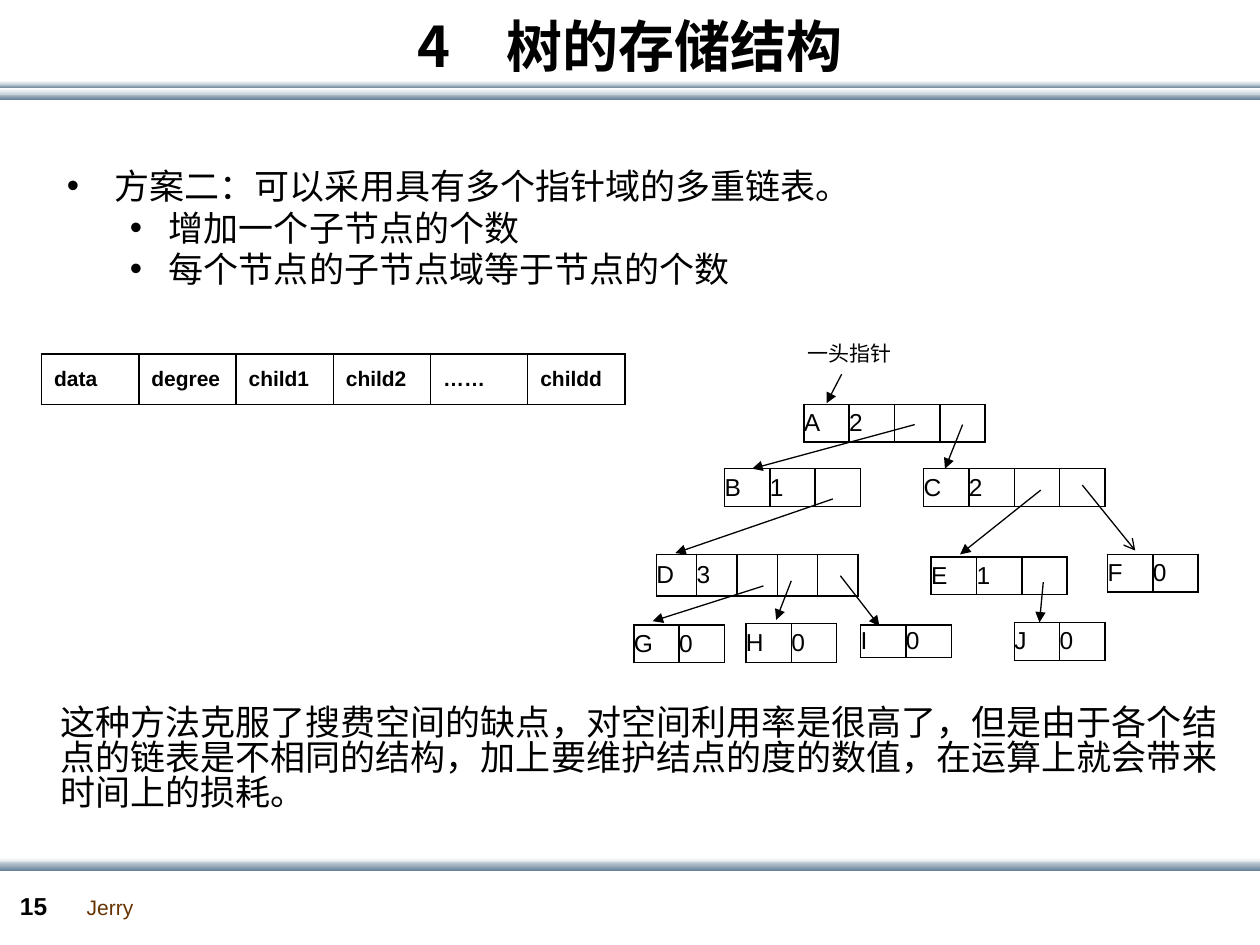
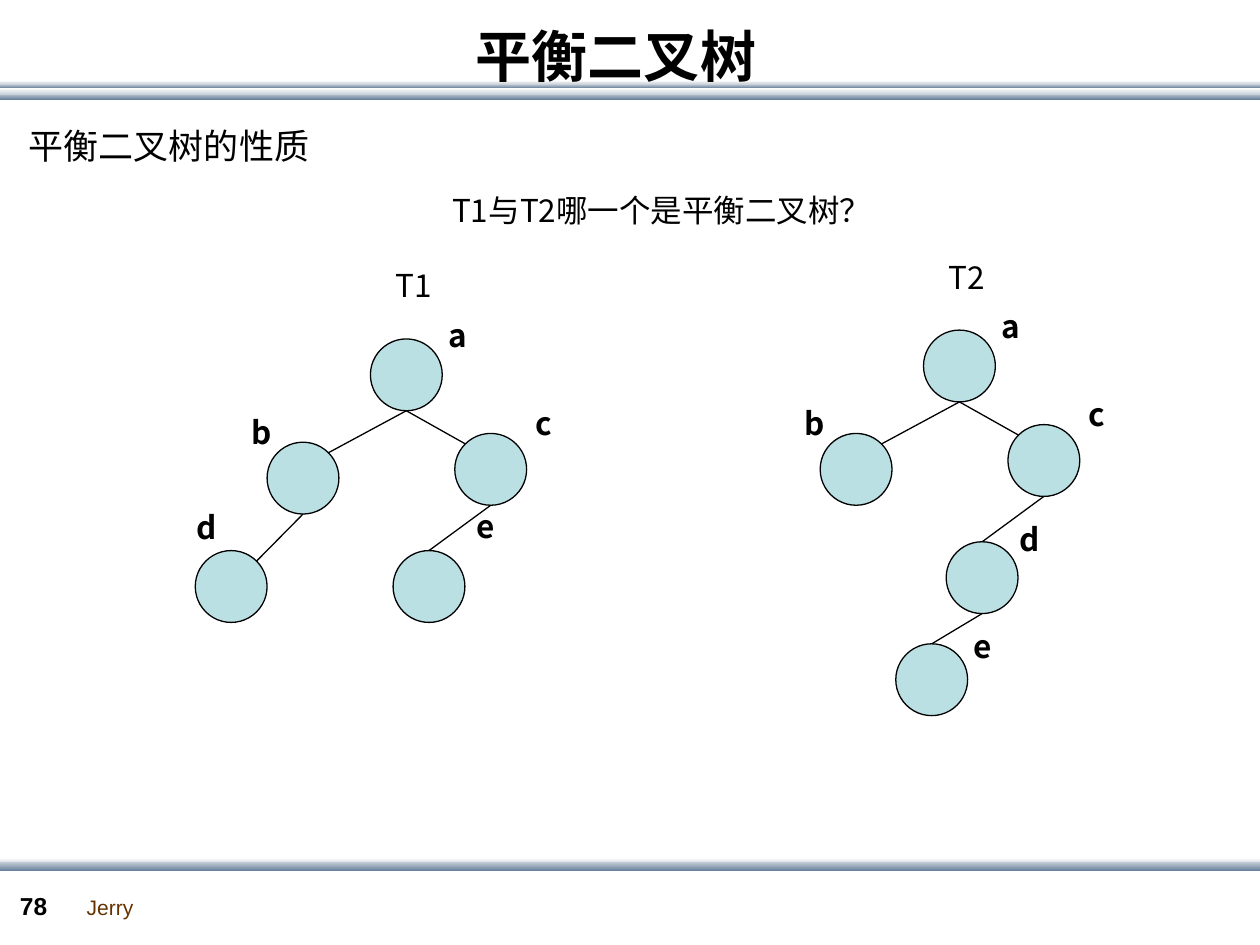
import dataclasses
import math
from typing import Any

import lxml.etree
import pptx
import pptx.dml.color
import pptx.enum.shapes
import pptx.enum.text
import pptx.oxml.ns
import pptx.util

Inches = pptx.util.Inches
Pt = pptx.util.Pt
qn = pptx.oxml.ns.qn

LATIN = "Arial"
CJK = "Noto Sans CJK SC"
BLACK, WHITE, MIST, STEEL = "000000", "FFFFFF", "C8D1DA", "6A839C"
BROWN, NODE_FILL = "663300", "BBE0E3"
DIAMETER = 0.57

TITLE = {"name": CJK, "size": Pt(32), "bold": True}
BODY = {"name": CJK, "size": Pt(20), "bold": False}
CAPTION = {"name": CJK, "size": Pt(18), "bold": False}
NODE_LABEL = {"name": CJK, "size": Pt(18), "bold": True}
SMALL = {"name": LATIN, "size": Pt(12), "bold": False}
FIELD = {"name": LATIN, "size": Pt(12), "bold": True}
RECORD = {"name": LATIN, "size": Pt(14), "bold": False}
PAGE_NUMBER = {"name": LATIN, "size": Pt(14), "bold": True}


@dataclasses.dataclass(frozen=True)
class Box:
    left: float
    top: float
    width: float
    height: float

    def lengths(self) -> list[int]:
        return [Inches(value) for value in dataclasses.astuple(self)]


@dataclasses.dataclass(frozen=True)
class Band:
    top: float
    height: float
    start: str
    end: str


@dataclasses.dataclass(frozen=True)
class Record:
    """A linked-list node: its name, its degree and one cell per child."""
    name: str
    degree: int
    left: float
    top: float
    cell_width: float = 0.36
    height: float = 0.3


@dataclasses.dataclass(frozen=True)
class Arrow:
    start: tuple[float, float]
    end: tuple[float, float]
    head: str = "triangle"


@dataclasses.dataclass(frozen=True)
class TreeNode:
    """A circle placed from its tree's root; the edge meets it at entry degrees."""
    name: str
    left: float
    top: float
    label_left: float
    label_top: float
    parent: str = ""
    entry: float = 90


BANDS = [
    Band(0.74, 0.05, MIST, STEEL),
    Band(0.67, 0.03, MIST, STEEL),
    Band(0.70, 0.05, WHITE, MIST),
    Band(0.64, 0.03, WHITE, MIST),
    Band(6.81, 0.05, WHITE, MIST),
    Band(6.84, 0.07, MIST, STEEL),
]
BULLETS = [
    (0, "方案二：可以采用具有多个指针域的多重链表。"),
    (1, "增加一个子节点的个数"),
    (1, "每个节点的子节点域等于节点的个数"),
]
BULLET_INDENTS = [(0.38, -0.38), (0.81, -0.31)]
RECORD_FIELDS = ["data", "degree", "child1", "child2", "……", "childd"]
RECORDS = [
    Record("A", 2, 6.38, 3.21),
    Record("B", 1, 5.75, 3.72),
    Record("C", 2, 7.33, 3.72),
    Record("D", 3, 5.21, 4.4, 0.32, 0.33),
    Record("E", 1, 7.39, 4.42),
    Record("F", 0, 8.79, 4.4),
    Record("G", 0, 5.03, 4.96),
    Record("H", 0, 5.92, 4.95, height=0.31),
    Record("I", 0, 6.83, 4.96, height=0.26),
    Record("J", 0, 8.05, 4.94),
]
ARROWS = [
    Arrow((7.64, 3.37), (7.5, 3.72)),
    Arrow((7.26, 3.37), (5.97, 3.72)),
    Arrow((8.26, 3.89), (7.62, 4.4)),
    Arrow((8.59, 3.85), (9.01, 4.37), "arrow"),
    Arrow((6.61, 3.96), (5.36, 4.39)),
    Arrow((6.06, 4.65), (5.18, 4.93)),
    Arrow((6.28, 4.61), (6.16, 4.92)),
    Arrow((6.67, 4.57), (6.98, 4.97)),
    Arrow((8.28, 4.62), (8.25, 4.94)),
    Arrow((6.68, 2.97), (6.56, 3.2)),
]
TREE_TOP = [
    TreeNode("a", 0, 0, 0.52, -0.2),
    TreeNode("b", -0.82, 0.82, -1.04, 0.57, "a", 45),
    TreeNode("c", 0.67, 0.75, 1.21, 0.5, "a", 135),
]
TREE_ONE = TREE_TOP + [
    TreeNode("d", -1.39, 1.68, -1.48, 1.33, "b", 45),
    TreeNode("e", 0.18, 1.68, 0.74, 1.32, "c"),
]
TREE_TWO = TREE_TOP + [
    TreeNode("d", 0.18, 1.68, 0.66, 1.49, "c"),
    TreeNode("e", -0.22, 2.49, 0.3, 2.34, "d"),
]


def rgb(color: str) -> pptx.dml.color.RGBColor:
    return pptx.dml.color.RGBColor.from_string(color)


def write(paragraph: Any, text: str, style: dict[str, Any], color: str = BLACK) -> None:
    run = paragraph.add_run()
    run.text = text
    for attribute, value in style.items():
        setattr(run.font, attribute, value)
    run.font.color.rgb = rgb(color)
    east_asian = lxml.etree.SubElement(run._r.get_or_add_rPr(), qn("a:ea"))
    east_asian.set("typeface", CJK)


def add_text(slide: Any, box: Box, text: str, style: dict[str, Any],
             color: str = BLACK, line_spacing: float = 1.0) -> None:
    frame = slide.shapes.add_textbox(*box.lengths()).text_frame
    frame.word_wrap = True
    paragraph = frame.paragraphs[0]
    paragraph.line_spacing = line_spacing
    write(paragraph, text, style, color)


def place(placeholder: Any, box: Box) -> Any:
    """Move a placeholder and return its text frame."""
    names = ("left", "top", "width", "height")
    for name, length in zip(names, box.lengths()):
        setattr(placeholder, name, length)
    placeholder.text_frame.auto_size = pptx.enum.text.MSO_AUTO_SIZE.NONE
    return placeholder.text_frame


def start_slide(presentation: Any, layout: int, title: str, box: Box, number: int) -> Any:
    """Add a slide with the shared bands, footer and title."""
    slide = presentation.slides.add_slide(presentation.slide_layouts[layout])
    for band in BANDS:
        shape = slide.shapes.add_shape(
            pptx.enum.shapes.MSO_SHAPE.RECTANGLE,
            *Box(0, band.top, 10.01, band.height).lengths())
        shape.shadow.inherit = False
        shape.line.fill.background()
        shape.fill.gradient()
        shape.fill.gradient_angle = 270
        for stop, color in zip(shape.fill.gradient_stops, (band.start, band.end)):
            stop.color.rgb = rgb(color)
    add_text(slide, Box(0.59, 7.05, 0.8, 0.3), "Jerry", SMALL, BROWN)
    add_text(slide, Box(0.06, 7.02, 0.55, 0.33), str(number), PAGE_NUMBER)

    frame = place(slide.shapes.title, box)
    frame.vertical_anchor = pptx.enum.text.MSO_ANCHOR.MIDDLE
    frame.paragraphs[0].alignment = pptx.enum.text.PP_ALIGN.CENTER
    write(frame.paragraphs[0], title, TITLE)
    slide.shapes._spTree.append(slide.shapes.title._element)
    return slide


def add_bullets(placeholder: Any, box: Box) -> None:
    frame = place(placeholder, box)
    for index, (level, text) in enumerate(BULLETS):
        paragraph = frame.add_paragraph() if index else frame.paragraphs[0]
        paragraph.level = level
        paragraph.line_spacing = 0.83
        paragraph.space_before = Pt(4 if index else 0)
        properties = paragraph._p.get_or_add_pPr()
        for name, value in zip(("marL", "indent"), BULLET_INDENTS[level]):
            properties.set(name, str(Inches(value)))
        lxml.etree.SubElement(properties, qn("a:buFont")).set("typeface", LATIN)
        lxml.etree.SubElement(properties, qn("a:buChar")).set("char", "•")
        write(paragraph, text, BODY)


def outline_cell(cell: Any) -> None:
    properties = cell._tc.get_or_add_tcPr()
    for side in ("L", "R", "T", "B"):
        border = lxml.etree.SubElement(properties, qn(f"a:ln{side}"), w=str(Pt(1)))
        fill = lxml.etree.SubElement(border, qn("a:solidFill"))
        lxml.etree.SubElement(fill, qn("a:srgbClr"), val=BLACK)


def add_row(slide: Any, box: Box, texts: list[str], style: dict[str, Any],
            margin: float) -> None:
    """Add a one-row table of equal, outlined cells."""
    table = slide.shapes.add_table(1, len(texts), *box.lengths()).table
    table.first_row = table.horz_banding = False
    for column, text in enumerate(texts):
        table.columns[column].width = Inches(box.width / len(texts))
        cell = table.cell(0, column)
        outline_cell(cell)
        cell.fill.background()
        cell.vertical_anchor = pptx.enum.text.MSO_ANCHOR.MIDDLE
        cell.margin_left = cell.margin_right = Inches(margin)
        cell.margin_top = cell.margin_bottom = 0
        paragraph = cell.text_frame.paragraphs[0]
        if text:
            write(paragraph, text, style)
        else:
            lxml.etree.SubElement(paragraph._p, qn("a:endParaRPr"), sz="1400")


def add_line(slide: Any, start: tuple[float, float], end: tuple[float, float],
             head: str = "") -> None:
    connector = slide.shapes.add_connector(
        pptx.enum.shapes.MSO_CONNECTOR.STRAIGHT,
        *[Inches(value) for value in (*start, *end)])
    connector.line.width = Pt(0.75)
    connector.line.color.rgb = rgb(BLACK)
    if head:
        lxml.etree.SubElement(connector.line._get_or_add_ln(), qn("a:tailEnd"), type=head)
    lxml.etree.SubElement(connector._element.spPr, qn("a:effectLst"))


def add_tree(slide: Any, caption: str, left: float, top: float,
             nodes: list[TreeNode]) -> None:
    """Draw a tree whose root circle starts at left, top."""
    radius = DIAMETER / 2
    centers = {node.name: (left + node.left + radius, top + node.top + radius)
               for node in nodes}
    add_text(slide, Box(left + 0.1, top - 0.59, 0.49, 0.4), caption, CAPTION,
             line_spacing=0.9)
    for node in nodes:
        circle = slide.shapes.add_shape(
            pptx.enum.shapes.MSO_SHAPE.OVAL,
            *Box(left + node.left, top + node.top, DIAMETER, DIAMETER).lengths())
        circle.shadow.inherit = False
        circle.fill.solid()
        circle.fill.fore_color.rgb = rgb(NODE_FILL)
        circle.line.color.rgb = rgb(BLACK)
        circle.line.width = Pt(0.75)
        add_text(slide, Box(left + node.label_left, top + node.label_top, 0.31, 0.4),
                 node.name, NODE_LABEL, line_spacing=0.9)
        if node.parent:
            parent_x, parent_y = centers[node.parent]
            x, y = centers[node.name]
            angle = math.radians(node.entry)
            add_line(slide, (parent_x, parent_y + radius),
                     (x + radius * math.cos(angle), y - radius * math.sin(angle)))


def build_storage_slide(presentation: Any) -> None:
    slide = start_slide(presentation, 1, "4　树的存储结构", Box(0, 0, 10, 0.72), 15)
    add_bullets(slide.placeholders[1], Box(0.43, 1.31, 9.15, 1.34))
    add_text(slide, Box(0.38, 5.57, 9.45, 1.17),
             "这种方法克服了搜费空间的缺点，对空间利用率是很高了，但是由于各个结点的链表是"
             "不相同的结构，加上要维护结点的度的数值，在运算上就会带来时间上的损耗。",
             BODY, line_spacing=0.83)
    add_row(slide, Box(0.33, 2.81, 4.63, 0.4), RECORD_FIELDS, FIELD, 0.1)
    for record in RECORDS:
        texts = [record.name, str(record.degree)] + [""] * record.degree
        box = Box(record.left, record.top, record.cell_width * len(texts), record.height)
        add_row(slide, box, texts, RECORD, 0)
    for arrow in ARROWS:
        add_line(slide, arrow.start, arrow.end, arrow.head)
    add_text(slide, Box(6.31, 2.65, 1.04, 0.3), "一头指针", SMALL)


def build_balance_slide(presentation: Any) -> None:
    slide = start_slide(presentation, 5, "平衡二叉树", Box(0.39, -0.19, 9, 1.25), 78)
    add_text(slide, Box(0.13, 0.98, 2.9, 0.44), "平衡二叉树的性质", BODY, line_spacing=0.9)
    add_tree(slide, "T1", 2.94, 2.69, TREE_ONE)
    add_tree(slide, "T2", 7.33, 2.62, TREE_TWO)
    add_text(slide, Box(3.49, 1.52, 3.69, 0.4), "T1与T2哪一个是平衡二叉树？", CAPTION,
             line_spacing=0.83)


def main() -> None:
    presentation = pptx.Presentation()
    presentation.slide_width = Inches(10)
    presentation.slide_height = Inches(7.5)
    build_storage_slide(presentation)
    build_balance_slide(presentation)
    presentation.save("out.pptx")


if __name__ == "__main__":
    main()
